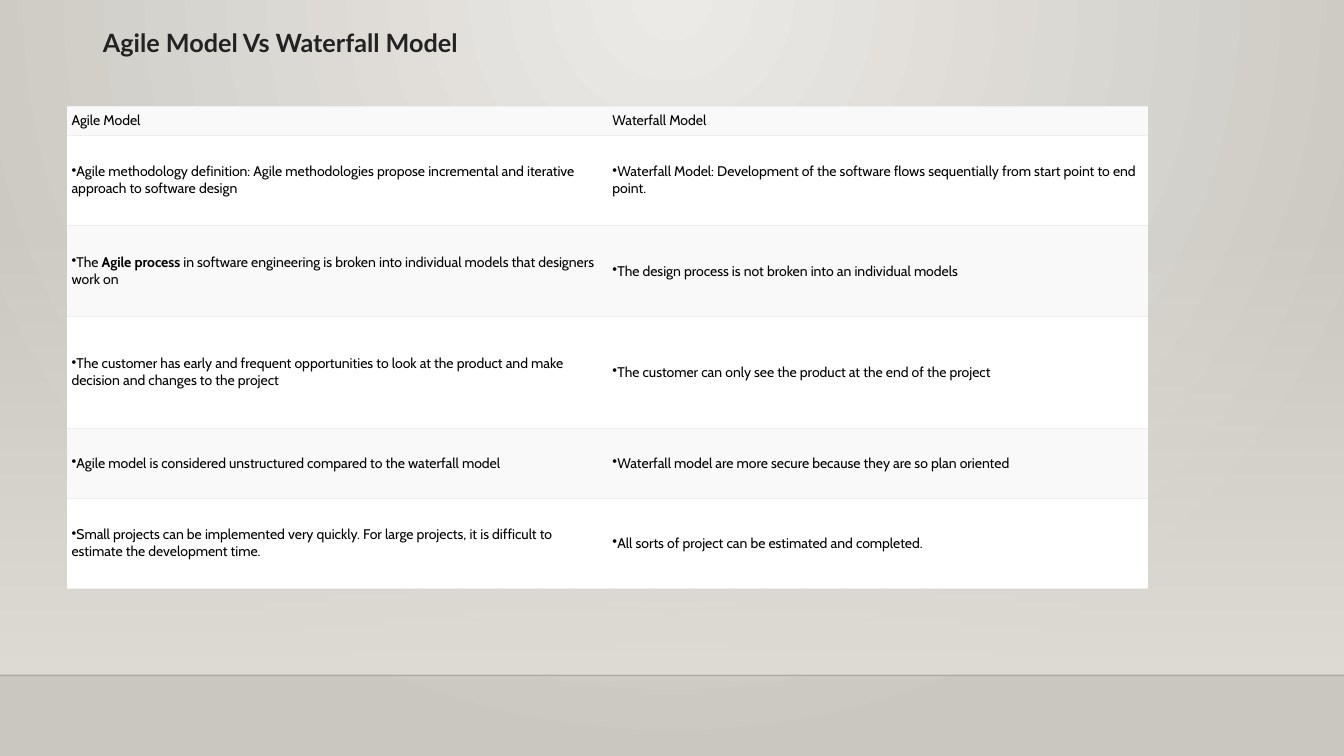
from lxml import etree
from pptx import Presentation
from pptx.dml.color import RGBColor
from pptx.enum.shapes import MSO_CONNECTOR, MSO_SHAPE
from pptx.enum.text import MSO_ANCHOR, PP_ALIGN
from pptx.oxml.ns import qn
from pptx.util import Inches, Pt

LEFT, TOP, MIDDLE = PP_ALIGN.LEFT, MSO_ANCHOR.TOP, MSO_ANCHOR.MIDDLE
RECT, STRAIGHT = MSO_SHAPE.RECTANGLE, MSO_CONNECTOR.STRAIGHT
WIDE, HIGH = 13.33, 7.5
PLAIN = "{2D5ABB26-0587-4C30-8999-92F81FD0307C}"

TITLE = "Agile Model Vs Waterfall Model"
HEIGHTS = [0.28, 0.9, 0.9, 1.11, 0.69, 0.9]
ROWS = [
    ("Agile Model", "Waterfall Model"),
    ("Agile methodology definition: Agile methodologies propose incremental and iterative approach to software design",
     "Waterfall Model: Development of the software flows sequentially from start point to end point."),
    ("The **Agile process** in software engineering is broken into individual models that designers work on",
     "The design process is not broken into an individual models"),
    ("The customer has early and frequent opportunities to look at the product and make decision and changes to the project",
     "The customer can only see the product at the end of the project"),
    ("Agile model is considered unstructured compared to the waterfall model",
     "Waterfall model are more secure because they are so plan oriented"),
    ("Small projects can be implemented very quickly. For large projects, it is difficult to estimate the development time.",
     "All sorts of project can be estimated and completed."),
]


def color(code):
    return RGBColor.from_string(code)


def box(*sizes):
    return [Inches(size) for size in sizes]


def add(parent, tag, **attrs):
    return etree.SubElement(parent, qn(tag), attrs)


def fade(node, share):
    """Set the opacity, in percent, of the first colour in a node."""
    add(next(node.iter(qn("a:srgbClr"))), "a:alpha", val=str(share * 1000))


def blend(fill, first, last):
    fill.gradient()
    for stop, code in zip(fill.gradient_stops, (first, last)):
        stop.color.rgb = color(code)


def write(frame, text, font="Cabin", size=10, code="000000", bold=False, bullet=False):
    """Fill a frame with one paragraph; ** marks switch bold on and off."""
    para = frame.paragraphs[0]
    para.alignment = LEFT
    para.line_spacing = 1.0
    para.space_before = Pt(0)
    if bullet:
        props = para._p.get_or_add_pPr()
        props.set("marL", "0")
        props.set("indent", "0")
        add(props, "a:buChar", char="•")
    for i, part in enumerate(text.split("**")):
        run = para.add_run()
        run.text = part
        run.font.name, run.font.size = font, Pt(size)
        run.font.bold = bold or i % 2 == 1
        run.font.color.rgb = color(code)


def draw_back(slide, floor):
    # Round glow from the top centre
    fill = slide.background.fill
    blend(fill, "ECEAE7", "CAC7C1")
    grad = next(slide.background._cSld.iter(qn("a:gradFill")))
    grad.remove(grad.find(qn("a:lin")))
    glow = add(grad, "a:path", path="circle")
    add(glow, "a:fillToRect", l="43000", t="0", r="43000", b="100000")

    # Wall that fades in towards the floor
    start = 2.21
    wall = slide.shapes.add_shape(RECT, *box(0, start, WIDE, floor - start))
    wall.shadow.inherit = False
    wall.line.fill.background()
    blend(wall.fill, "DFDBD5", "DFDBD5")
    wall.fill.gradient_angle = 270
    fade(next(wall._element.iter(qn("a:gs"))), 0)

    # Floor edge
    edge = slide.shapes.add_connector(STRAIGHT, *box(0, floor, WIDE, floor))
    edge.line.width = Pt(1)
    edge.line.color.rgb = color("000001")
    fade(edge._element.spPr, 20)
    add(edge._element.spPr, "a:effectLst")


def draw_title(slide, left, top, width, height):
    title = slide.shapes.title
    title.left, title.top, title.width, title.height = box(left, top, width, height)
    frame = title.text_frame
    frame.word_wrap = True
    frame.vertical_anchor = TOP
    write(frame, TITLE, font="Lato", size=18, code="222222", bold=True)


def rule(cell):
    """Draw thin lines above and below a cell."""
    props = cell._tc.get_or_add_tcPr()
    for i, tag in enumerate(("a:lnT", "a:lnB")):
        line = add(props, tag, w=str(Pt(0.6)))
        add(add(line, "a:solidFill"), "a:srgbClr", val="EEEEEE")
        props.insert(i, line)


def draw_table(slide, left, top, width):
    shape = slide.shapes.add_table(len(ROWS), 2, *box(left, top, width, sum(HEIGHTS)))
    table = shape.table
    next(table._tbl.iter(qn("a:tableStyleId"))).text = PLAIN
    for r, texts in enumerate(ROWS):
        table.rows[r].height = Inches(HEIGHTS[r])
        for c, text in enumerate(texts):
            cell = table.cell(r, c)
            cell.fill.solid()
            cell.fill.fore_color.rgb = color("FFFFFF" if r % 2 else "F9F9F9")
            cell.vertical_anchor = MIDDLE
            cell.margin_left = cell.margin_right = Inches(0.05)
            cell.margin_top = cell.margin_bottom = Inches(0.03)
            write(cell.text_frame, text, bullet=r > 0)
            rule(cell)


def main():
    deck = Presentation()
    deck.slide_width, deck.slide_height = box(WIDE, HIGH)
    slide = deck.slides.add_slide(deck.slide_layouts[5])
    draw_back(slide, 6.7)
    draw_title(slide, 0.92, 0.22, WIDE / 2, 1.01)
    draw_table(slide, 0.66, 1.06, 10.73)
    deck.save("out.pptx")


if __name__ == "__main__":
    main()
